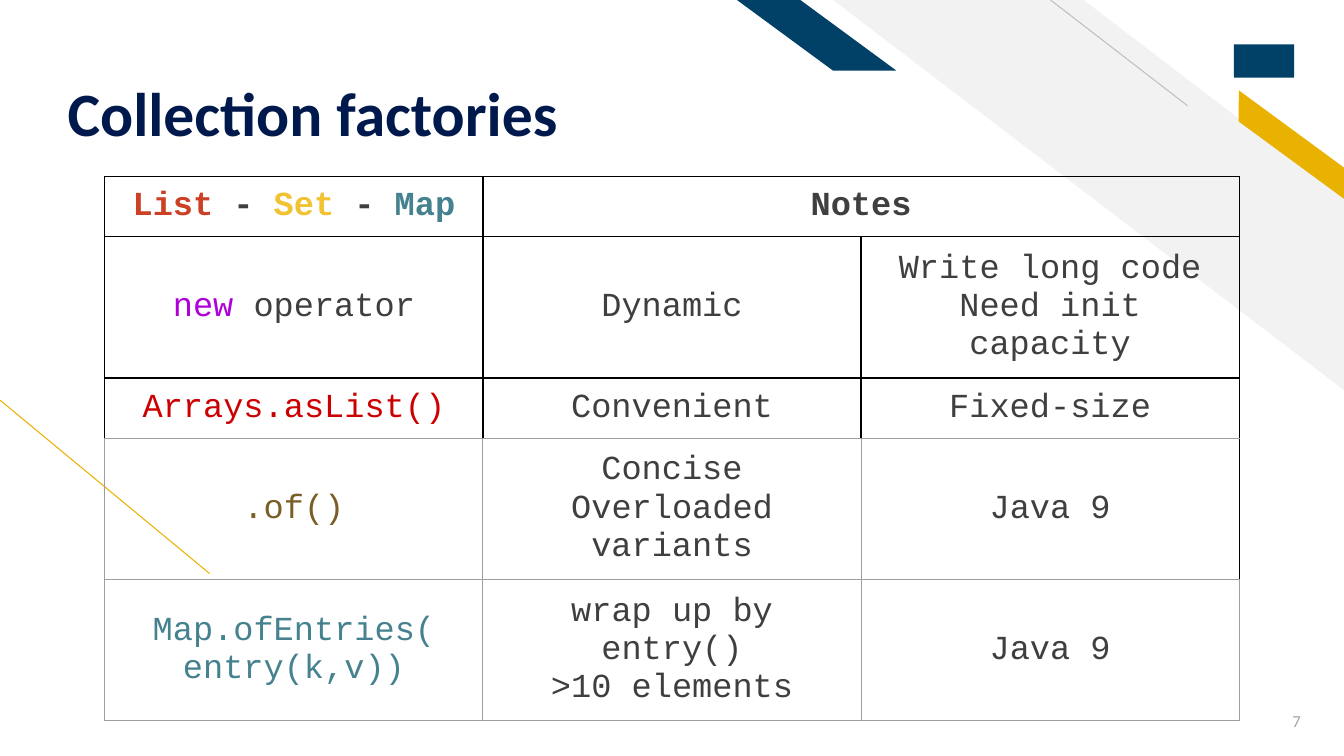
from lxml import etree
from pptx import Presentation
from pptx.dml.color import RGBColor
from pptx.enum.shapes import MSO_CONNECTOR, MSO_SHAPE
from pptx.enum.text import MSO_ANCHOR, PP_ALIGN
from pptx.oxml.ns import qn
from pptx.util import Inches, Pt

STRAIGHT = MSO_CONNECTOR.STRAIGHT
BLOCK, STRIPE, SLANT = MSO_SHAPE.RECTANGLE, MSO_SHAPE.DIAGONAL_STRIPE, MSO_SHAPE.PARALLELOGRAM
MIDDLE, BOTTOM = MSO_ANCHOR.MIDDLE, MSO_ANCHOR.BOTTOM
LEFT, CENTER, RIGHT = PP_ALIGN.LEFT, PP_ALIGN.CENTER, PP_ALIGN.RIGHT

WIDTH, HEIGHT = Inches(13.33), Inches(7.5)
GOLD, BLUE, NAVY, PALE = "EAB200", "014067", "00194C", "F2F2F2"
INK, RED, YELLOW, TEAL = "3F3F3F", "CC4125", "F1C232", "45818E"
PURPLE, CRIMSON, BROWN = "AF00DB", "CC0000", "795E26"
BLACK_EDGE, GREY_EDGE = ("000000", 1), ("9E9E9E", 0.75)

# Each cell is a list of paragraphs, each paragraph a list of (text, colour)
FACTORIES = [
    [[[("List", RED), (" - ", INK), ("Set", YELLOW), (" - ", INK), ("Map", TEAL)]],
     [[("Notes", INK)]]],
    [[[("new", PURPLE), (" operator", INK)]],
     [[("Dynamic", INK)]],
     [[("Write long code", INK)], [("Need init capacity", INK)]]],
    [[[("Arrays.asList()", CRIMSON)]],
     [[("Convenient", INK)]],
     [[("Fixed-size", INK)]]],
    [[[(".of()", BROWN)]],
     [[("Concise", INK)], [("Overloaded variants", INK)]],
     [[("Java 9", INK)]]],
    [[[("Map.ofEntries(", TEAL)], [("entry(k,v))", TEAL)]],
     [[("wrap up by entry()", INK)], [(">10 elements", INK)]],
     [[("Java 9", INK)]]],
]


def color(value):
    return RGBColor.from_string(value)


def share(*percents):
    """Turn percentages (x, y, x, y) of the slide into lengths."""
    return [int(size * percent / 100)
            for percent, size in zip(percents, (WIDTH, HEIGHT) * 2)]


def add_line(page, ends, hue):
    line = page.shapes.add_connector(STRAIGHT, *share(*ends))
    line.line.color.rgb = color(hue)
    line.line.width = Pt(0.75)
    etree.SubElement(line._element.spPr, qn("a:effectLst"))


def add_block(page, kind, area, hue, adjust=None, turn=0):
    block = page.shapes.add_shape(kind, *share(*area))
    block.shadow.inherit = False
    block.fill.solid()
    block.fill.fore_color.rgb = color(hue)
    block.line.fill.background()
    if adjust is not None:
        block.adjustments[0] = adjust
        block._element.spPr.find(qn("a:xfrm")).set("flipH", "1")
    block.rotation = turn


def write(para, spans, size, font, align, bold=False):
    para.alignment = align
    for text, hue in spans:
        span = para.add_run()
        span.text = text
        span.font.name = font
        span.font.size = Pt(size)
        span.font.bold = bold
        span.font.color.rgb = color(hue)


def add_title(page, text):
    title = page.shapes.title
    title.left, title.top, title.width, title.height = share(4.28, 3.07, 68.34, 16.8)
    frame = title.text_frame
    frame.word_wrap = True
    frame.vertical_anchor = BOTTOM
    frame.margin_bottom = 0
    frame.paragraphs[0].line_spacing = 0.9
    write(frame.paragraphs[0], [(text, NAVY)], 44, "Calibri", LEFT, True)


def add_page_number(page, number):
    box = page.shapes.add_textbox(*share(91.45, 92.67, 6.08, 5.33))
    box.text_frame.word_wrap = True
    box.text_frame.vertical_anchor = MIDDLE
    write(box.text_frame.paragraphs[0], [(number, "A5A5A5")], 12, "Calibri", RIGHT)


def set_edges(cell, edges):
    properties = cell._tc.get_or_add_tcPr()
    for place, (side, (hue, points)) in enumerate(zip("LRTB", edges)):
        edge = etree.Element(qn("a:ln" + side), w=str(Pt(points)))
        fill = etree.SubElement(edge, qn("a:solidFill"))
        etree.SubElement(fill, qn("a:srgbClr"), val=hue)
        properties.insert(place, edge)


def edges_of(row, column):
    """Black edges around the first three rows, grey below them."""
    side = BLACK_EDGE if row < 3 else GREY_EDGE
    right = BLACK_EDGE if (row, column) == (3, 2) else side
    bottom = BLACK_EDGE if row < 2 else GREY_EDGE
    return side, right, side, bottom


def fill_cell(cell, paragraphs, bold):
    cell.vertical_anchor = MIDDLE
    cell.margin_left = cell.margin_right = Inches(0.1)
    cell.margin_top = cell.margin_bottom = Inches(0.1)
    frame = cell.text_frame
    for index, spans in enumerate(paragraphs):
        para = frame.add_paragraph() if index else frame.paragraphs[0]
        write(para, spans, 24, "Courier New", CENTER, bold)


def add_factory_table(page, rows):
    columns = 3
    table = page.shapes.add_table(len(rows), columns, *share(7.8, 23.33, 84.4, 28)).table
    table.first_row = table.horz_banding = False
    for row, cells in enumerate(rows):
        table.rows[row].height = Inches(0.42)
        for column in range(columns):
            cell = table.cell(row, column)
            cell.fill.background()
            set_edges(cell, edges_of(row, column))
            if column < len(cells):
                fill_cell(cell, cells[column], bold=row == 0)
    table.cell(0, 1).merge(table.cell(0, 2))


def main():
    deck = Presentation()
    deck.slide_width, deck.slide_height = WIDTH, HEIGHT
    page = deck.slides.add_slide(deck.slide_layouts[5])

    # Decoration
    add_line(page, (15.6, 75.87, 0, 52.93), GOLD)
    add_block(page, STRIPE, (62, 0, 38, 51.6), PALE, 0.51)
    add_line(page, (88.37, 14, 78.17, 0), "BFBFBF")
    add_block(page, SLANT, (90.55, 17.47, 11.1, 3.33), GOLD, 0.72, 36.3)
    add_block(page, BLOCK, (91.8, 5.87, 4.5, 4.4), BLUE)
    add_block(page, SLANT, (54.84, 0, 11.85, 9.33), BLUE, 1.36)

    # Content
    add_page_number(page, "7")
    add_title(page, "Collection factories")
    add_factory_table(page, FACTORIES)
    deck.save("out.pptx")


if __name__ == "__main__":
    main()
